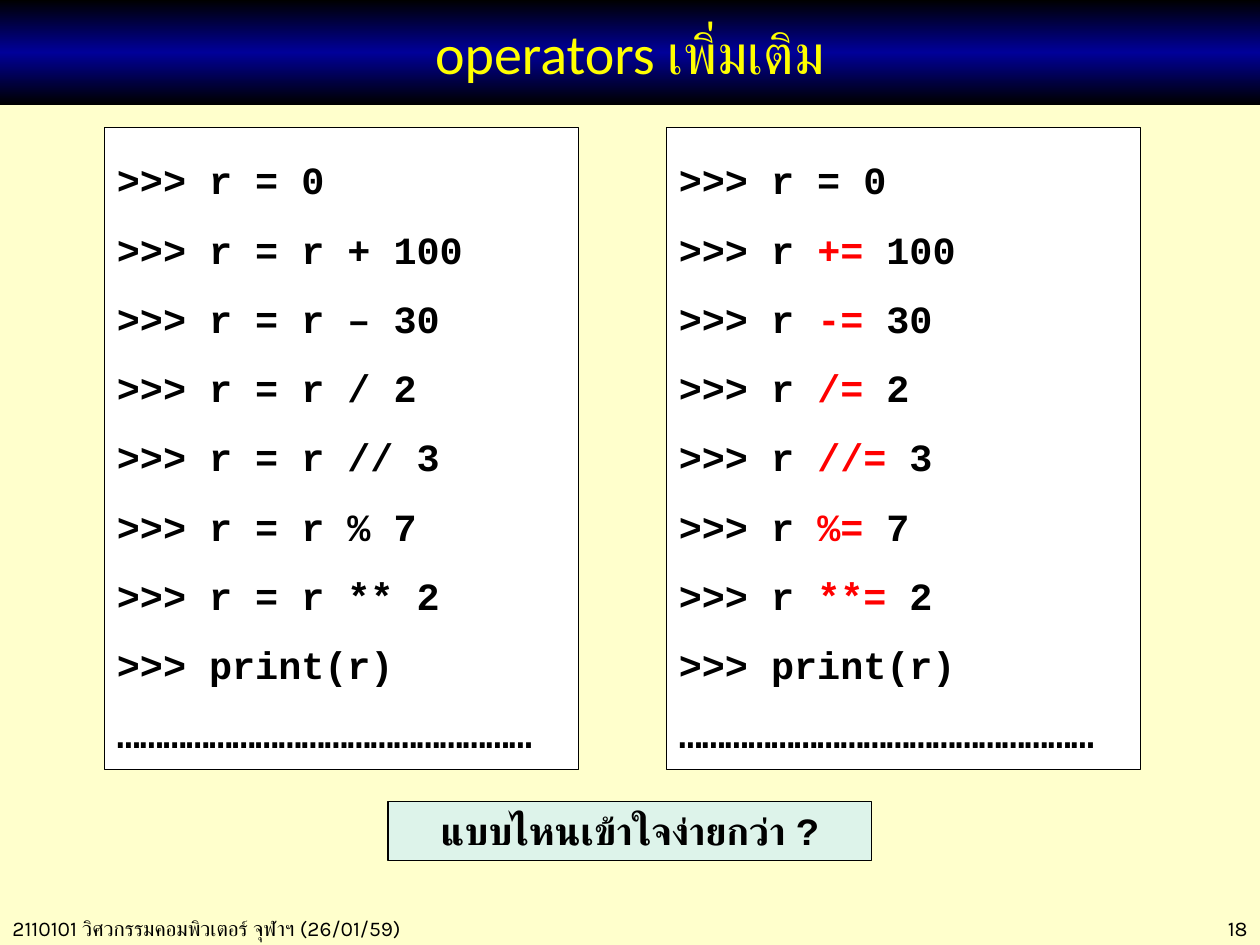
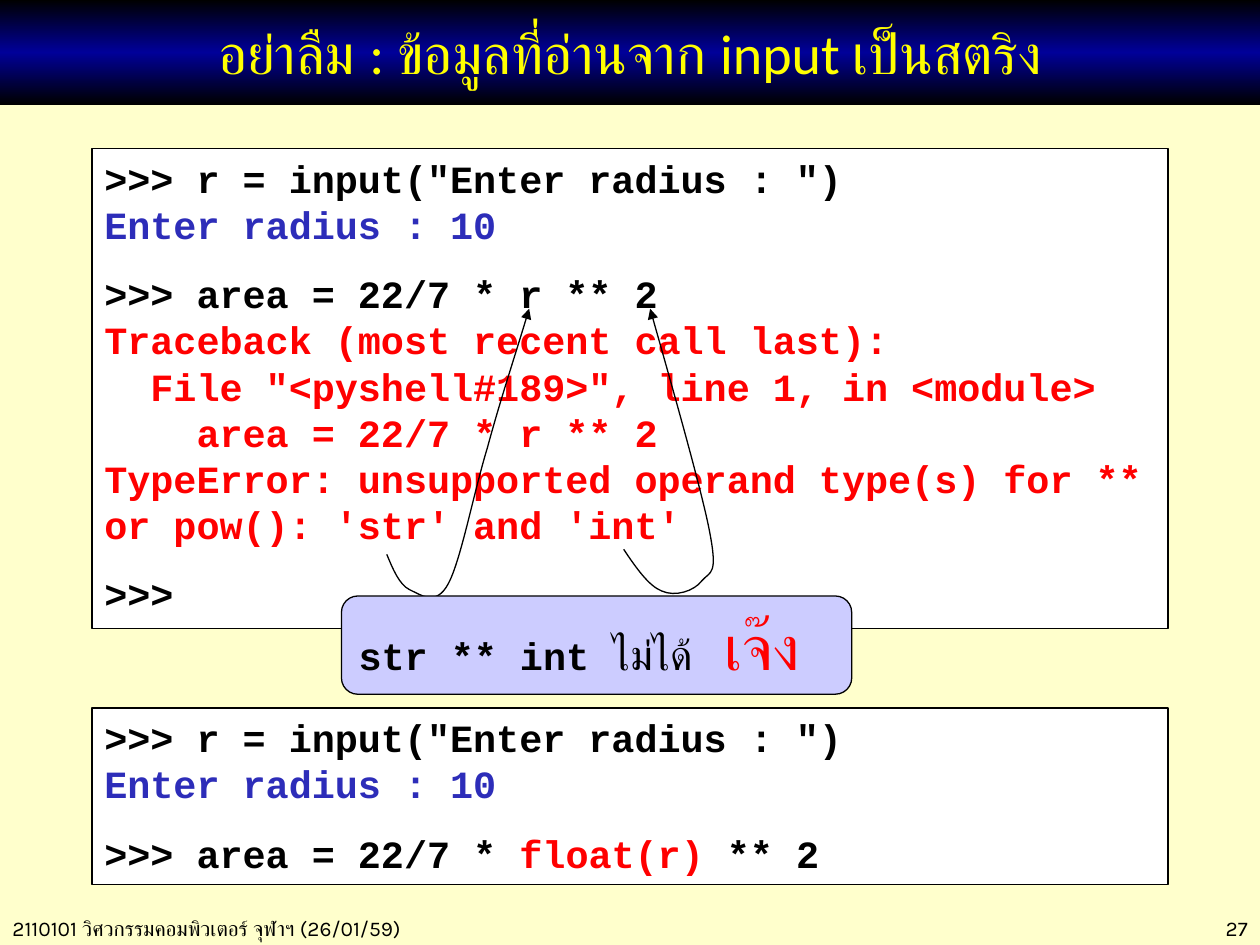
from copy import deepcopy

from lxml.etree import SubElement
from pptx import Presentation
from pptx.dml.color import RGBColor
from pptx.enum.shapes import MSO_SHAPE
from pptx.enum.text import MSO_ANCHOR, MSO_AUTO_SIZE, PP_ALIGN
from pptx.oxml.ns import qn
from pptx.util import Pt

EMU_PER_PX = 9144
COLORS = {
    "background": "FFFFCC",
    "title": "FFFF00",
    "band_edge": "000000",
    "band_middle": "000099",
    "text": "000000",
    "paper": "FFFFFF",
    "question": "DDF3EA",
    "callout": "CCCCFF",
    "error": "FF0000",
    "output": "2D2DB9",
}
CODE_FONT = "Courier New"
NOTE_FONT = "Karla"
TITLE_FONT = "Calibri"
FOOTER = "2110101 วิศวกรรมคอมพิวเตอร์ จุฬาฯ (26/01/59)"


def color(name):
    return RGBColor.from_string(COLORS[name])


def px(*lengths):
    return [length * EMU_PER_PX for length in lengths]


class Deck:
    def __init__(self):
        self.presentation = Presentation()
        self.presentation.slide_width, self.presentation.slide_height = px(1000, 750)
        fill = self.presentation.slide_master.background.fill
        fill.solid()
        fill.fore_color.rgb = color("background")
        self.slide = None

    def new_slide(self, title, number):
        layout = self.presentation.slide_layouts.get_by_name("Title Only")
        self.slide = self.presentation.slides.add_slide(layout)
        self.footer(0, 390, FOOTER, PP_ALIGN.LEFT)
        self.footer(862, 138, str(number), PP_ALIGN.RIGHT)
        self.title(title)

    def style(self, run, font, size, name="text", bold=False):
        run.font.name = font
        run.font.size = Pt(size)
        run.font.bold = bold
        run.font.color.rgb = color(name)

    def footer(self, left, width, text, alignment):
        box = self.slide.shapes.add_textbox(*px(left, 722, width, 30))
        box.text_frame.word_wrap = True
        box.text_frame.text = text
        paragraph = box.text_frame.paragraphs[0]
        paragraph.alignment = alignment
        self.style(paragraph.runs[0], NOTE_FONT, 12)

    def title(self, text):
        band = self.slide.shapes.title
        band.left, band.top, band.width, band.height = px(0, 0, 1000, 83)
        band.fill.gradient()
        band.fill.gradient_angle = 90
        stops = band._element.spPr.find(".//" + qn("a:gsLst"))
        stops.insert(1, deepcopy(stops[0]))
        names = ("band_edge", "band_middle", "band_edge")
        for index, (stop, name) in enumerate(zip(band.fill.gradient_stops, names)):
            stop.position = index / 2
            stop.color.rgb = color(name)
        frame = band.text_frame
        frame.text = text
        frame.auto_size = MSO_AUTO_SIZE.NONE
        frame.vertical_anchor = MSO_ANCHOR.MIDDLE
        frame.paragraphs[0].alignment = PP_ALIGN.CENTER
        self.style(frame.paragraphs[0].runs[0], TITLE_FONT, 32, "title")

    def outline(self, shape):
        shape.shadow.inherit = False
        shape.line.color.rgb = color("text")
        shape.line.width = Pt(0.75)

    def panel(self, bounds, fill, preset=MSO_SHAPE.RECTANGLE):
        shape = self.slide.shapes.add_shape(preset, *px(*bounds))
        self.outline(shape)
        shape.fill.solid()
        shape.fill.fore_color.rgb = color(fill)
        frame = shape.text_frame
        frame.word_wrap = True
        frame.auto_size = MSO_AUTO_SIZE.SHAPE_TO_FIT_TEXT
        frame.vertical_anchor = MSO_ANCHOR.TOP
        frame.paragraphs[0].alignment = PP_ALIGN.LEFT
        return frame

    def add_run(self, paragraph, text, *style):
        run = paragraph.add_run()
        run.text = text
        self.style(run, *style)

    def code(self, bounds, lines):
        frame = self.panel(bounds, "paper")
        for index, (spacing, *parts) in enumerate(lines):
            paragraph = frame.add_paragraph() if index else frame.paragraphs[0]
            paragraph.alignment = PP_ALIGN.LEFT
            paragraph.line_spacing = spacing
            for text, name in parts:
                self.add_run(paragraph, text, CODE_FONT, 22, name, True)

    def question(self, bounds, text):
        frame = self.panel(bounds, "question")
        frame.text = text
        frame.paragraphs[0].alignment = PP_ALIGN.CENTER
        self.style(frame.paragraphs[0].runs[0], CODE_FONT, 22, bold=True)

    def callout(self, bounds, parts):
        frame = self.panel(bounds, "callout", MSO_SHAPE.ROUNDED_RECTANGLE)
        frame.word_wrap = False
        frame.vertical_anchor = MSO_ANCHOR.MIDDLE
        for part in parts:
            self.add_run(frame.paragraphs[0], *part)

    def curved_arrow(self, start, *controls):
        builder = self.slide.shapes.build_freeform(*start, scale=EMU_PER_PX)
        builder.add_line_segments(controls, close=False)
        shape = builder.convert_to_shape()
        shape.fill.background()
        self.outline(shape)
        properties = shape._element.spPr
        segments = properties.findall(".//" + qn("a:lnTo"))
        outline_path = segments[0].getparent()
        for first in range(0, len(segments), 3):
            curve = SubElement(outline_path, qn("a:cubicBezTo"))
            for segment in segments[first:first + 3]:
                curve.append(segment[0])
                outline_path.remove(segment)
        SubElement(properties.find(qn("a:ln")), qn("a:tailEnd"), type="triangle")


def operators_slide(deck):
    deck.new_slide("operators เพิ่มเติม", 18)
    operations = [("+", 100), ("–", 30), ("/", 2), ("//", 3), ("%", 7), ("**", 2)]
    first = (1.5, (">>> r = 0", "text"))
    last = [(1.5, (">>> print(r)", "text")), (1.5, ("…" * 18, "text"))]
    full = [(1.5, (f">>> r = r {sign} {value}", "text")) for sign, value in operations]
    short = [
        (1.5, (">>> r ", "text"), (sign.replace("–", "-") + "=", "error"), (f" {value}", "text"))
        for sign, value in operations
    ]
    for left, lines in ((83, full), (529, short)):
        deck.code((left, 101, 376, 510), [first, *lines, *last])
    deck.question((308, 636, 384, 47), "แบบไหนเข้าใจง่ายกว่า ?")


def input_slide(deck):
    deck.new_slide("อย่าลืม : ข้อมูลที่อ่านจาก input เป็นสตริง", 27)
    reading = [
        (1.0, ('>>> r = input("Enter radius : ")', "text")),
        (1.0, ("Enter radius : 10", "output")),
    ]
    traceback = [
        "Traceback (most recent call last):",
        '  File "<pyshell#189>", line 1, in <module>',
        "    area = 22/7 * r ** 2",
        "TypeError: unsupported operand type(s) for ** or pow(): 'str' and 'int'",
    ]
    deck.code((73, 118, 854, 381), [
        *reading,
        (1.5, (">>> area = 22/7 * r ** 2", "text")),
        *((1.0, (line, "error")) for line in traceback),
        (1.5, (">>>", "text")),
    ])
    deck.curved_arrow(
        (307, 440),
        (312, 452), (317, 464), (325, 468),
        (334, 472), (346, 482), (356, 463),
        (366, 444), (376, 391), (387, 355),
        (397, 318), (409, 282), (420, 245),
    )
    deck.curved_arrow(
        (495, 436),
        (505, 451), (515, 465), (525, 469),
        (536, 474), (551, 469), (557, 461),
        (564, 453), (570, 457), (563, 421),
        (556, 385), (524, 274), (516, 245),
    )
    deck.callout((271, 473, 405, 78), [
        ("str ** int ", CODE_FONT, 22, "text", True),
        ("ไม่ได้   ", NOTE_FONT, 24),
        ("เจ๊ง", NOTE_FONT, 36, "error"),
    ])
    deck.code((73, 562, 854, 140), [
        *reading,
        (1.5, (">>> area = 22/7 * ", "text"), ("float(r)", "error"), (" ** 2", "text")),
    ])


def main():
    deck = Deck()
    operators_slide(deck)
    input_slide(deck)
    deck.presentation.save("out.pptx")


if __name__ == "__main__":
    main()
